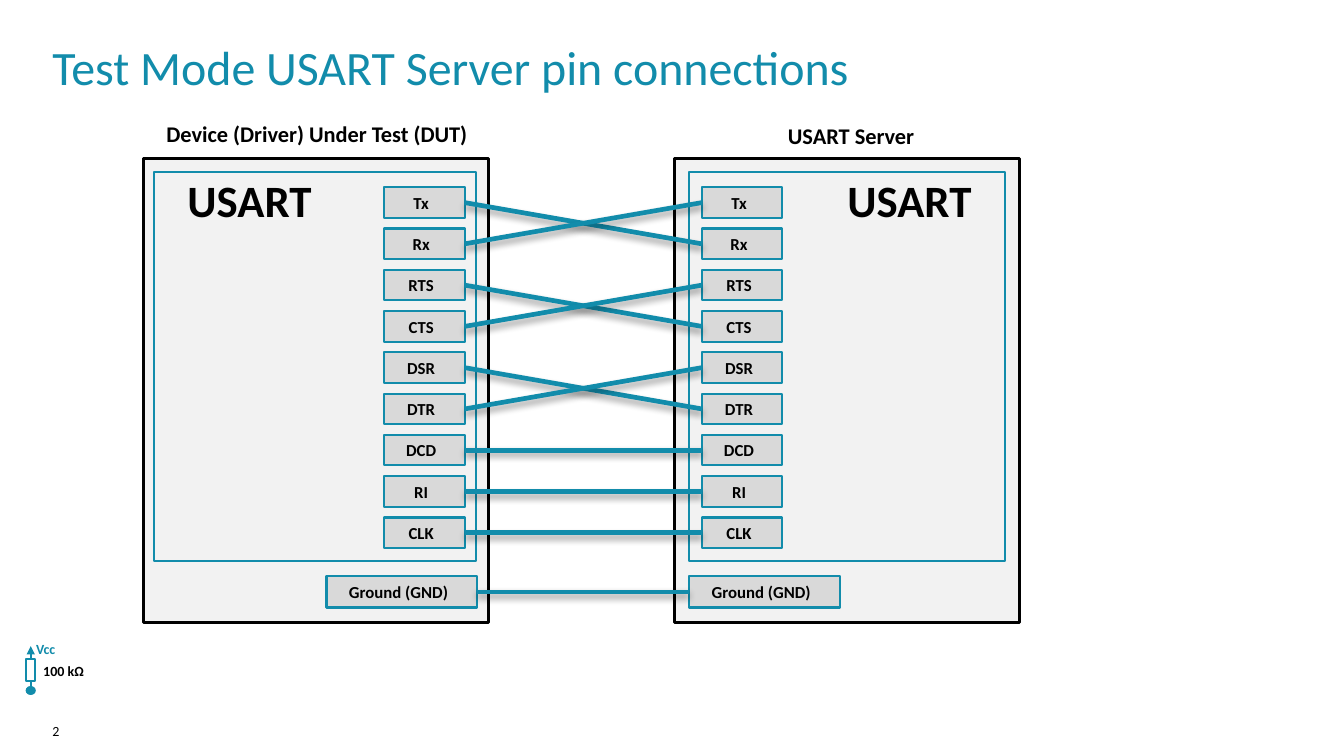
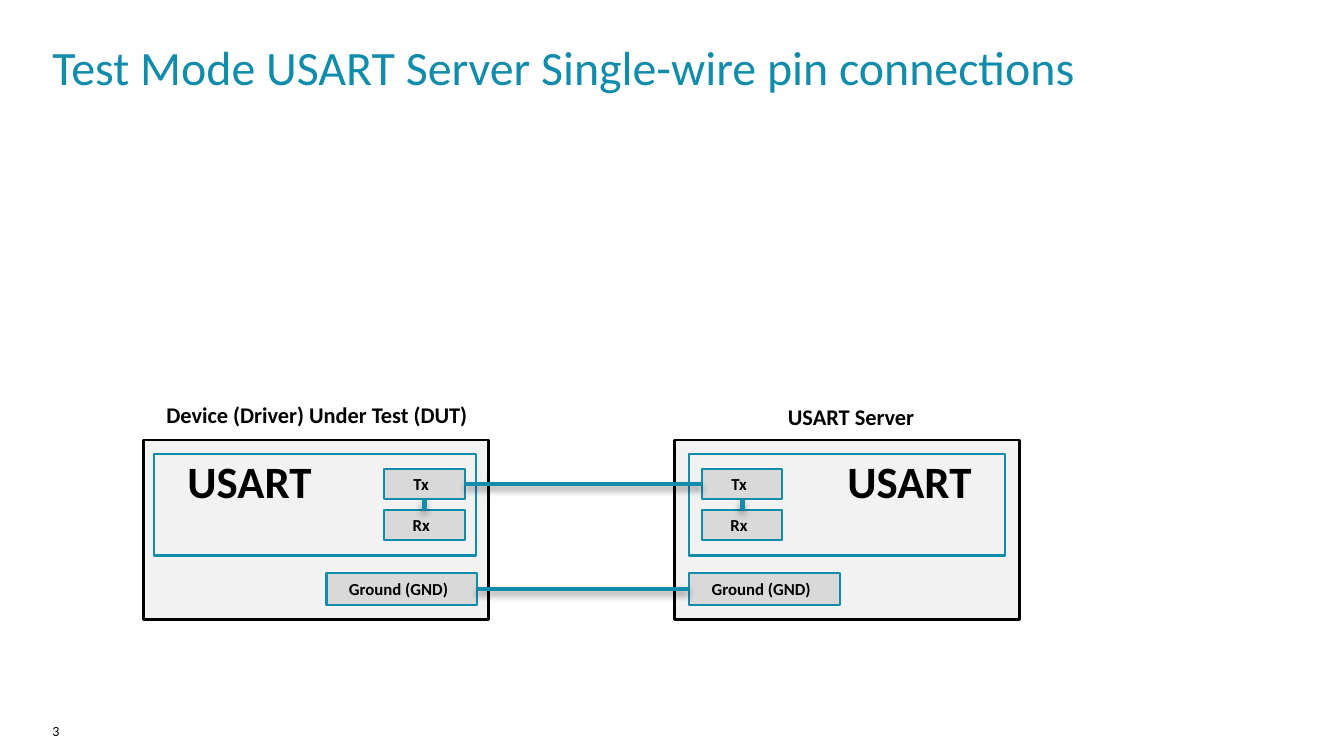
from dataclasses import dataclass

from lxml import etree
from pptx import Presentation
from pptx.dml.color import RGBColor
from pptx.enum.shapes import MSO_CONNECTOR, MSO_SHAPE
from pptx.enum.text import MSO_ANCHOR, PP_ALIGN
from pptx.oxml import parse_xml
from pptx.oxml.ns import nsdecls, qn
from pptx.shapes.autoshape import Shape
from pptx.shapes.connector import Connector
from pptx.slide import Slide
from pptx.util import Cm, Pt

# Shared look
TEAL = RGBColor(0x12, 0x8C, 0xAB)
BLACK = RGBColor(0x00, 0x00, 0x00)
BOARD_GREY = RGBColor(0xF2, 0xF2, 0xF2)
PIN_GREY = RGBColor(0xD9, 0xD9, 0xD9)
FONT = "Calibri"
TOP, LEFT, BOTTOM, RIGHT = range(4)

# Shared measures, in cm
BOARD_W = 8.71
HEADING_W, HEADING_H = 10.24, 1.19
NAME_W, NAME_H = 4.8, 1.3
PIN_W, PIN_H, PIN_PITCH = 2.03, 0.77, 1.04
GROUND_W, GROUND_H = 3.79, 0.79
MODULE_DY, NAME_DY, PIN_DY = 0.34, 0.38, 0.72
GROUND_RISE = 1.16


@dataclass(frozen=True)
class Box:
    x: float
    y: float
    w: float
    h: float

    def cm(self) -> tuple[Cm, Cm, Cm, Cm]:
        return Cm(self.x), Cm(self.y), Cm(self.w), Cm(self.h)


@dataclass(frozen=True)
class Side:
    heading: str
    heading_x: float
    heading_dy: float
    board_x: float
    module_x: float
    module_w: float
    name_x: float
    pin_x: float
    ground_x: float


@dataclass(frozen=True)
class Diagram:
    title: str
    number: int
    top: float
    board_h: float
    module_h: float
    pins: tuple[str, ...]
    wires: tuple[tuple[str, str], ...]
    single_wire: bool = False


@dataclass(frozen=True)
class Ports:
    pins: dict[str, Shape]
    ground: Shape


DUT = Side("Device (Driver) Under Test (DUT)", 2.87, -1.24,
           3.61, 3.89, 8.1, 3.89, 9.68, 8.23)
SERVER = Side("USART Server", 16.33, -1.18,
              16.99, 17.37, 7.95, 20.52, 17.69, 17.37)

DIAGRAMS = (
    Diagram(
        "Test Mode USART Server pin connections", 2, 4, 11.68, 9.8,
        ("Tx", "Rx", "RTS", "CTS", "DSR", "DTR", "DCD", "RI", "CLK"),
        (("Tx", "Rx"), ("Rx", "Tx"), ("RTS", "CTS"), ("CTS", "RTS"),
         ("DSR", "DTR"), ("DTR", "DSR"),
         ("DCD", "DCD"), ("RI", "RI"), ("CLK", "CLK")),
    ),
    Diagram(
        "Test Mode USART Server Single-wire pin connections", 3,
        11.09, 4.52, 2.57, ("Tx", "Rx"), (("Tx", "Tx"),), True,
    ),
)


def write(shape: Shape, text: str, size: float, color: RGBColor = BLACK,
          bold: bool = False, align: PP_ALIGN = PP_ALIGN.LEFT) -> None:
    p = shape.text_frame.paragraphs[0]
    p.text = text
    p.alignment = align
    p.font.name, p.font.size, p.font.bold = FONT, Pt(size), bold
    p.font.color.rgb = color


def add_label(s: Slide, box: Box, text: str, size: float,
              color: RGBColor = BLACK, bold: bool = False,
              wrap: bool = True) -> None:
    """Left-aligned text without margins."""
    sp = s.shapes.add_textbox(*box.cm())
    tf = sp.text_frame
    tf.word_wrap = wrap
    tf.margin_left = tf.margin_right = tf.margin_top = tf.margin_bottom = 0
    write(sp, text, size, color, bold)


def add_caption(s: Slide, box: Box, text: str, size: float) -> None:
    """Bold text centred in its box."""
    sp = s.shapes.add_textbox(*box.cm())
    sp.text_frame.word_wrap = True
    sp.text_frame.vertical_anchor = MSO_ANCHOR.MIDDLE
    write(sp, text, size, bold=True, align=PP_ALIGN.CENTER)


def add_block(s: Slide, box: Box, fill: RGBColor | None = None,
              line: RGBColor = TEAL, width: float = 1.5,
              kind: MSO_SHAPE = MSO_SHAPE.RECTANGLE) -> Shape:
    sp = s.shapes.add_shape(kind, *box.cm())
    sp.shadow.inherit = False
    if fill is None:
        sp.fill.background()
    else:
        sp.fill.solid()
        sp.fill.fore_color.rgb = fill
    sp.line.color.rgb = line
    sp.line.width = Pt(width)
    return sp


def add_pin(s: Slide, box: Box, text: str) -> Shape:
    sp = add_block(s, box, PIN_GREY)
    tf = sp.text_frame
    tf.word_wrap = True
    tf.vertical_anchor = MSO_ANCHOR.MIDDLE
    tf.margin_left, tf.margin_right = Cm(0.25), Cm(0.41)
    tf.margin_top = tf.margin_bottom = Cm(0.1)
    write(sp, text, 12, bold=True, align=PP_ALIGN.CENTER)
    return sp


def join(s: Slide, start: Shape, start_side: int, end: Shape,
         end_side: int, width: float) -> Connector:
    c = s.shapes.add_connector(MSO_CONNECTOR.STRAIGHT, 0, 0, 0, 0)
    c.begin_connect(start, start_side)
    c.end_connect(end, end_side)
    style_line(c, width)
    return c


def style_line(c: Connector, width: float) -> None:
    c.line.color.rgb = TEAL
    c.line.width = Pt(width)
    etree.SubElement(c.element.spPr, qn("a:effectLst"))


def add_wire(s: Slide, start: Shape, start_side: int,
             end: Shape, end_side: int) -> None:
    """Thick line with a soft shadow below it."""
    c = join(s, start, start_side, end, end_side, 3.35)
    c.element.spPr.find(qn("a:effectLst")).append(parse_xml(
        f'<a:outerShdw {nsdecls("a")} blurRad="{Pt(5.2)}" dist="{Pt(3)}" '
        'dir="5400000" rotWithShape="0"><a:srgbClr val="000000">'
        '<a:alpha val="40000"/></a:srgbClr></a:outerShdw>'))


def add_side(s: Slide, side: Side, d: Diagram) -> Ports:
    add_caption(s, Box(side.heading_x, d.top + side.heading_dy,
                       HEADING_W, HEADING_H), side.heading, 16)
    add_block(s, Box(side.board_x, d.top, BOARD_W, d.board_h),
              BOARD_GREY, BLACK, 2)
    add_caption(s, Box(side.name_x, d.top + NAME_DY, NAME_W, NAME_H),
                "USART", 32)
    add_block(s, Box(side.module_x, d.top + MODULE_DY,
                     side.module_w, d.module_h))
    pins = {
        name: add_pin(s, Box(side.pin_x, d.top + PIN_DY + i * PIN_PITCH,
                             PIN_W, PIN_H), name)
        for i, name in enumerate(d.pins)
    }
    ground = add_pin(s, Box(side.ground_x, d.top + d.board_h - GROUND_RISE,
                            GROUND_W, GROUND_H), "Ground (GND)")
    return Ports(pins, ground)


def add_pull_up(s: Slide) -> None:
    """Resistor symbol between a node and the supply."""
    resistor = add_block(s, Box(0.66, 16.61, 0.23, 0.56))
    node = add_block(s, Box(0.66, 17.3, 0.23, 0.2), TEAL, width=0.75,
                     kind=MSO_SHAPE.OVAL)
    join(s, resistor, BOTTOM, node, TOP, 1.5)
    x = resistor.left + resistor.width // 2
    supply = s.shapes.add_connector(MSO_CONNECTOR.STRAIGHT,
                                    x, resistor.top, x, Cm(16.28))
    supply.begin_connect(resistor, TOP)
    style_line(supply, 1.5)
    etree.SubElement(supply.line._get_or_add_ln(), qn("a:tailEnd"),
                     type="triangle")
    add_label(s, Box(1.09, 16.69, 1.04, 0.43), "100 kΩ", 10, bold=True,
              wrap=False)
    add_label(s, Box(0.91, 16.15, 1.04, 0.43), "Vcc", 10, TEAL, bold=True,
              wrap=False)


def add_diagram(prs: Presentation, d: Diagram) -> Slide:
    s = prs.slides.add_slide(prs.slide_layouts[6])
    add_label(s, Box(1.32, 0.94, 30.99, 1.6), d.title, 34.2, TEAL)
    add_label(s, Box(1.32, 18.21, 3.63, 0.66), str(d.number), 10)

    # Boards, then the wires between them
    dut, server = (add_side(s, side, d) for side in (DUT, SERVER))
    for start, end in d.wires:
        add_wire(s, dut.pins[start], RIGHT, server.pins[end], LEFT)
    add_wire(s, dut.ground, RIGHT, server.ground, LEFT)
    if d.single_wire:
        for ports in (dut, server):
            add_wire(s, ports.pins["Rx"], TOP, ports.pins["Tx"], BOTTOM)
    return s


def main() -> None:
    prs = Presentation()
    prs.slide_width, prs.slide_height = Cm(33.87), Cm(19.05)
    slides = [add_diagram(prs, d) for d in DIAGRAMS]
    add_pull_up(slides[0])
    prs.save("out.pptx")


if __name__ == "__main__":
    main()
